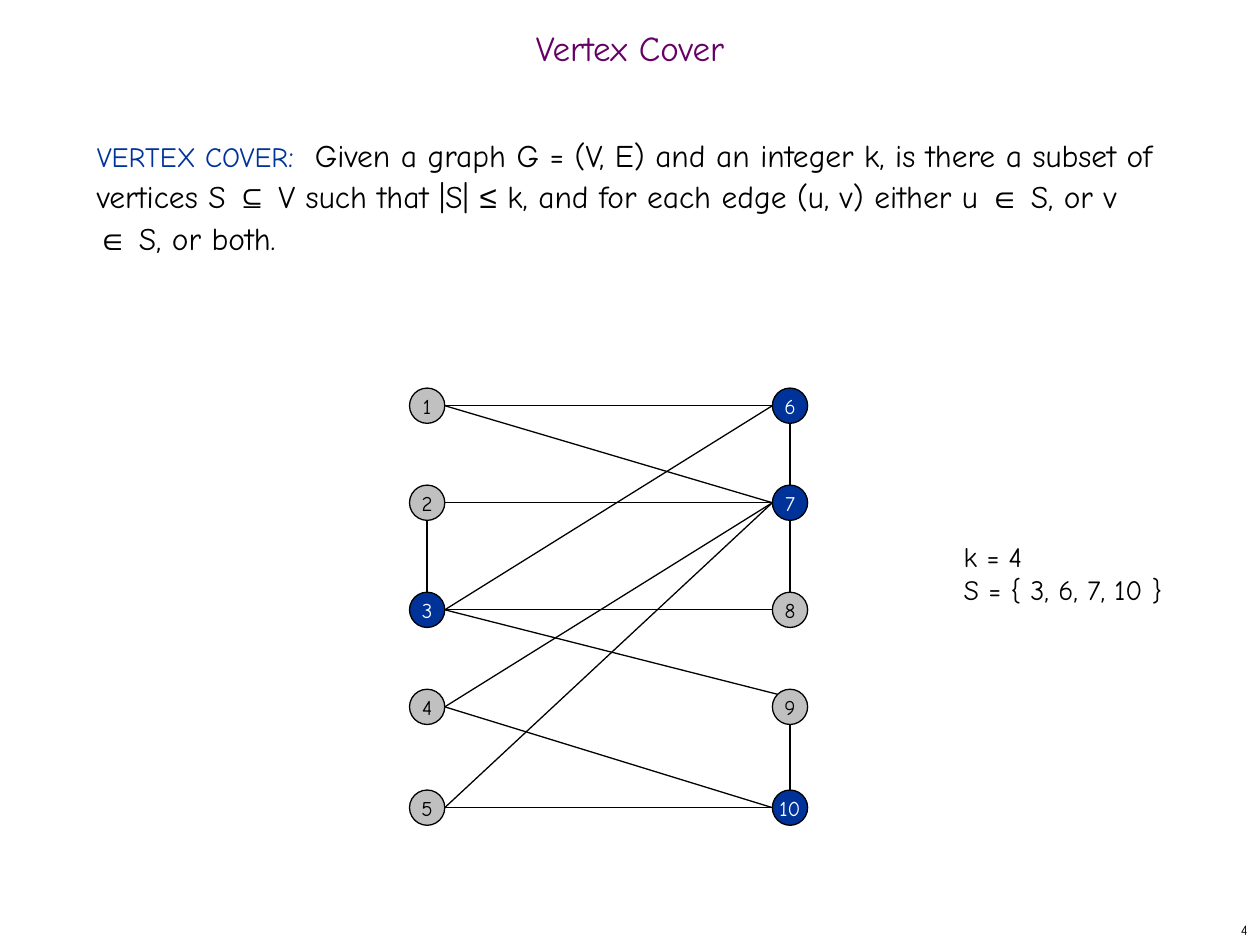
from lxml.etree import SubElement
from pptx import Presentation
from pptx.dml.color import RGBColor
from pptx.enum.shapes import MSO_CONNECTOR, MSO_SHAPE
from pptx.enum.text import MSO_ANCHOR, MSO_AUTO_SIZE, PP_ALIGN
from pptx.oxml.ns import qn
from pptx.util import Inches, Pt

COLORS = {"title": "660066", "blue": "003399", "gray": "C0C0C0",
          "black": "000000", "white": "FFFFFF"}
FONT, SYMBOL_FONT = "Comic Neue", "Arial"


def style(r, size, color, font=FONT):
    r.font.size = Pt(size)
    r.font.name = font
    r.font.color.rgb = RGBColor.from_string(COLORS[color])


def add_text(left, top, width, height):
    """Add a wrapping text box placed in shares of the slide's size."""
    tf = s.shapes.add_textbox(int(W * left), int(H * top),
                              int(W * width), int(H * height)).text_frame
    tf.word_wrap = True
    return tf


prs = Presentation()
prs.slide_width, prs.slide_height = Inches(10), Inches(7.5)
W, H = prs.slide_width, prs.slide_height
s = prs.slides.add_slide(prs.slide_layouts[5])

# Title
title = s.shapes.title
title.left, title.top, title.width, title.height = 0, Inches(0.17), W, Inches(0.5)
tf = title.text_frame
tf.text = "Vertex Cover"
tf.auto_size = MSO_AUTO_SIZE.NONE
tf.vertical_anchor = MSO_ANCHOR.MIDDLE
p = tf.paragraphs[0]
p.alignment = PP_ALIGN.CENTER
p.line_spacing = 0.7
style(p.runs[0], 20, "title")

# Problem statement
p = add_text(0.067, 0.133, 0.858, 0.79).paragraphs[0]
p.line_spacing = 1.1
statement = [
    ("VERTEX COVER", 16, "blue"),
    (":  ", 18, "blue"),
    ("Given a graph G = (V, E) and an integer k, is there a subset of vertices S ", 18, "black"),
    ("⊆", 18, "black", SYMBOL_FONT),
    (" V such that |S| ", 18, "black"),
    ("≤", 18, "black", SYMBOL_FONT),
    (" k, and for each edge (u, v) either u ", 18, "black"),
    ("∈", 18, "black", SYMBOL_FONT),
    (" S, or v ", 18, "black"),
    ("∈", 18, "black", SYMBOL_FONT),
    (" S, or both.", 18, "black"),
]
for text, *look in statement:
    r = p.add_run()
    r.text = text
    style(r, *look)

# Graph: vertices 1-5 in the left column, 6-10 in the right
COLUMNS = [3.39, 6.27]
ROWS = [3.22, 3.99, 4.84, 5.61, 6.41]
RADIUS = 0.14
COVER = {3, 6, 7, 10}
centers = {5 * col + row + 1: (x, y)
           for col, x in enumerate(COLUMNS) for row, y in enumerate(ROWS)}
edges = [(1, 6), (1, 7), (2, 7), (3, 6), (3, 8), (3, 9), (4, 7), (4, 10),
         (5, 7), (5, 10), (2, 3), (6, 7), (7, 8), (9, 10)]

for start, end in edges:
    (x1, y1), (x2, y2) = centers[start], centers[end]
    if x1 == x2:
        y1, y2 = y1 + RADIUS, y2 - RADIUS
    else:
        x1, x2 = x1 + RADIUS, x2 - RADIUS
    if (start, end) == (3, 9):  # meets the upper left of vertex 9
        x2, y2 = x2 + 0.04, y2 - 0.1
    line = s.shapes.add_connector(MSO_CONNECTOR.STRAIGHT, Inches(x1), Inches(y1),
                                  Inches(x2), Inches(y2))
    line.line.width = Pt(0.75)
    line.line.color.rgb = RGBColor.from_string(COLORS["black"])
    SubElement(line._element.spPr, qn("a:effectLst"))

for number, (x, y) in centers.items():
    covered = number in COVER
    sp = s.shapes.add_shape(MSO_SHAPE.OVAL, Inches(x - RADIUS), Inches(y - RADIUS),
                            Inches(2 * RADIUS), Inches(2 * RADIUS))
    sp.shadow.inherit = False
    sp.fill.solid()
    sp.fill.fore_color.rgb = RGBColor.from_string(COLORS["blue" if covered else "gray"])
    sp.line.width = Pt(0.75)
    sp.line.color.rgb = RGBColor.from_string(COLORS["black"])
    tf = sp.text_frame
    tf.word_wrap = False
    tf.vertical_anchor = MSO_ANCHOR.MIDDLE
    tf.text = str(number)
    p = tf.paragraphs[0]
    p.alignment = PP_ALIGN.CENTER
    style(p.runs[0], 12, "white" if covered else "black")

# Solution
tf = add_text(0.755, 0.564, 0.178, 0.084)
tf.word_wrap = False
p = tf.paragraphs[0]
p.text = "k = 4\vS = { 3, 6, 7, 10 }"
for r in p.runs:
    style(r, 16, "black")

# Page number
tf = add_text(0.792, 0.967, 0.208, 0.033)
tf.vertical_anchor = MSO_ANCHOR.MIDDLE
tf.text = "4"
p = tf.paragraphs[0]
p.alignment = PP_ALIGN.RIGHT
style(p.runs[0], 8, "black")

prs.save("out.pptx")
